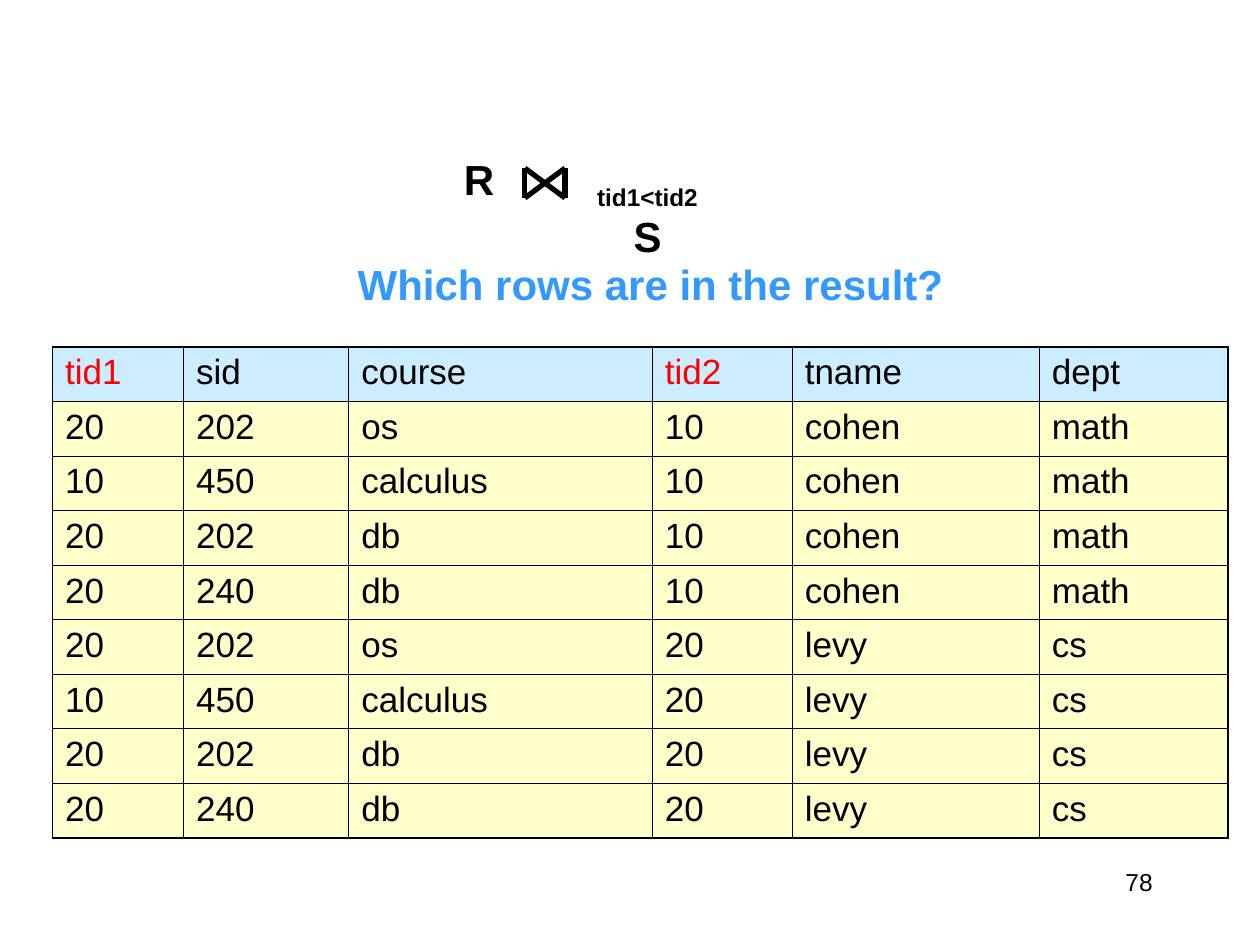
"""Build the theta-join slide: the join expression, a question and the table of row pairs."""
from itertools import product

from lxml.etree import SubElement
from pptx import Presentation
from pptx.dml.color import RGBColor
from pptx.enum.shapes import MSO_CONNECTOR as CONN
from pptx.enum.text import MSO_AUTO_SIZE as FIT, PP_ALIGN as ALIGN
from pptx.oxml.ns import qn
from pptx.util import Cm, Pt

FONT = "Arial"
COLORS = {"text": "000000", "key": "FF0000", "question": "3399FF",
          "head": "CCECFF", "body": "FFFFCC", "line": "000000"}
HEADER = ["tid1", "sid", "course", "tid2", "tname", "dept"]
KEYS = {"tid1", "tid2"}
R_ROWS = [("20", "202", "os"), ("10", "450", "calculus"),
          ("20", "202", "db"), ("20", "240", "db")]
S_ROWS = [("10", "cohen", "math"), ("20", "levy", "cs")]
COL_WIDTHS = [2.64, 3.33, 6.12, 2.82, 4.98, 3.81]
ROW_HEIGHT = 1.1
THIN, THICK = 0.45, 1.08


def rgb(name):
    return RGBColor.from_string(COLORS[name])


def add_run(p, text, size, color="text", bold=False, baseline=0):
    r = p.add_run()
    r.text = text
    r.font.name, r.font.size, r.font.bold = FONT, Pt(size), bold
    r.font.color.rgb = rgb(color)
    if baseline:
        r._r.get_or_add_rPr().set("baseline", str(baseline * 1000))


def add_text(slide, box, align, wrap=True, fit=FIT.SHAPE_TO_FIT_TEXT):
    tf = slide.shapes.add_textbox(*map(Cm, box)).text_frame
    tf.word_wrap, tf.auto_size = wrap, fit
    p = tf.paragraphs[0]
    p.alignment = align
    return p


def add_join_sign(slide, left, top, right, bottom):
    group = slide.shapes.add_group_shape()
    for x1, y1, x2, y2 in [(left, top, left, bottom), (right, top, right, bottom),
                           (left, top, right, bottom), (right, top, left, bottom)]:
        s = group.shapes.add_connector(CONN.STRAIGHT, Cm(x1), Cm(y1), Cm(x2), Cm(y2))
        s.line.color.rgb, s.line.width = rgb("line"), Pt(3)
        SubElement(s._element.spPr, qn("a:effectLst"))


def set_borders(cell, widths):
    tcPr = cell._tc.get_or_add_tcPr()
    for i, (side, width) in enumerate(widths.items()):
        ln = SubElement(tcPr, qn(f"a:ln{side}"), w=str(Pt(width)))
        fill = SubElement(ln, qn("a:solidFill"))
        SubElement(fill, qn("a:srgbClr"), val=COLORS["line"])
        tcPr.insert(i, ln)


def add_table(slide, rows, left, top):
    n_rows, n_cols = len(rows), len(COL_WIDTHS)
    table = slide.shapes.add_table(n_rows, n_cols, Cm(left), Cm(top),
                                   Cm(sum(COL_WIDTHS)), Cm(ROW_HEIGHT * n_rows)).table
    for col, width in zip(table.columns, COL_WIDTHS):
        col.width = Cm(width)
    for row in table.rows:
        row.height = Cm(ROW_HEIGHT)
    for i, j in product(range(n_rows), range(n_cols)):
        cell, text = table.cell(i, j), rows[i][j]
        cell.fill.solid()
        cell.fill.fore_color.rgb = rgb("body" if i else "head")
        add_run(cell.text_frame.paragraphs[0], text, 20, "key" if text in KEYS else "text")
        outer = {"L": j == 0, "R": j == n_cols - 1, "T": i == 0, "B": i == n_rows - 1}
        set_borders(cell, {side: THICK if edge else THIN for side, edge in outer.items()})


def main():
    prs = Presentation()
    prs.slide_width, prs.slide_height = Cm(25.4), Cm(19.05)
    slide = prs.slides.add_slide(prs.slide_layouts[6])

    p = add_text(slide, (18.21, 17.35, 5.28, 1.27), ALIGN.RIGHT, fit=FIT.NONE)
    add_run(p, "78", 14)

    add_table(slide, [HEADER] + [r + s for s, r in product(S_ROWS, R_ROWS)], 1.06, 6.99)

    p = add_text(slide, (9.1, 2.97, 1.47, 1.27), ALIGN.LEFT)
    add_run(p, "R", 24, bold=True)
    add_join_sign(slide, 10.58, 3.39, 11.39, 3.99)
    p = add_text(slide, (11.39, 2.97, 3.33, 1.42), ALIGN.CENTER, wrap=False)
    add_run(p, "tid1<tid2", 24, bold=True, baseline=-25)
    add_run(p, " S", 24, bold=True)

    p = add_text(slide, (6.55, 5.08, 13.13, 1.27), ALIGN.CENTER)
    add_run(p, "Which rows are in the result?", 24, "question", bold=True)

    prs.save("out.pptx")


if __name__ == "__main__":
    main()
